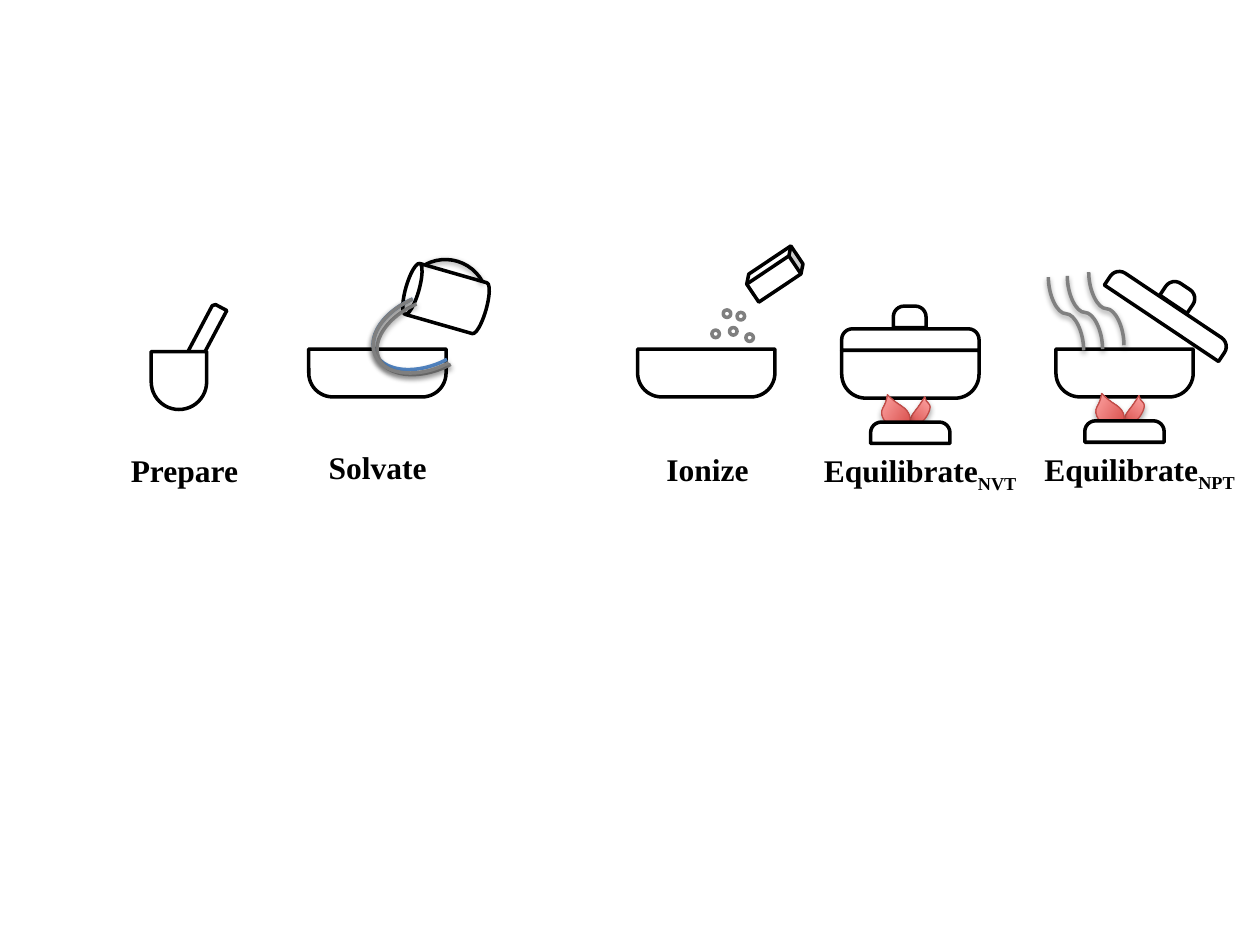
from dataclasses import dataclass, replace

from lxml.etree import SubElement
from pptx import Presentation
from pptx.dml.color import RGBColor
from pptx.enum.shapes import MSO_CONNECTOR, MSO_SHAPE as Preset
from pptx.enum.text import MSO_AUTO_SIZE
from pptx.oxml.ns import qn
from pptx.util import Inches, Pt

COLORS = {
    "black": "000000", "white": "FFFFFF", "water": "4F81BD", "salt": "7F7F7F",
    "steam": "808080", "flame_low": "D1403C", "flame_high": "FFA6A5",
    "flame_edge": "BF4C48",
}
FONT = "Times New Roman"


@dataclass(frozen=True)
class Shadow:
    """A downward shadow; opacity in percent, distance in points."""
    opacity: int
    distance: float
    blur: float = 3.15


@dataclass(frozen=True)
class Piece:
    """One preset shape; lengths in inches, rotation in degrees."""
    preset: Preset
    left: float
    top: float
    width: float
    height: float
    rotation: float = 0
    adjustments: tuple[float, ...] = ()
    fill: str | None = "white"
    line: str = "black"
    line_width: float = 2
    shadow: Shadow | None = None
    mirrored: bool = False


@dataclass(frozen=True)
class Steam:
    """A curved wisp that starts at the given point."""
    left: float
    top: float
    width: float = 0.28
    height: float = 0.58


@dataclass(frozen=True)
class Step:
    """One stage of the recipe: its drawing and its caption."""
    pieces: list[Piece | Steam]
    caption: str
    left: float
    top: float
    width: float
    subscript: str = ""


STROKE_SHADOW = Shadow(38, 1.57)
FLAME_SHADOW = Shadow(35, 1.81)


def rgb(name: str) -> RGBColor:
    """Look up a colour by name."""
    return RGBColor.from_string(COLORS[name])


def rounded(left: float, top: float, width: float, height: float, rotation: float = 0) -> Piece:
    """Describe a box with two fully rounded top corners."""
    return Piece(Preset.ROUND_2_SAME_RECTANGLE, left, top, width, height, rotation, (0.5, 0))


def bowl(left: float, top: float) -> Piece:
    """Describe a bowl, which is a rounded box turned upside down."""
    return rounded(left, top, 1.09, 0.38, 180)


def stream(left: float, top: float, width: float, height: float, line: str) -> Piece:
    """Describe one arc of pouring water, from 167.66 degrees to 0."""
    return Piece(Preset.ARC, left, top, width, height, 246.7, (167.66 * 0.6, 0), None, line,
                 shadow=STROKE_SHADOW)


def burner(left: float, top: float) -> list[Piece]:
    """Describe the flames and the plate below a bowl at this position."""
    flame = Piece(Preset.TEAR, left + 0.57, top + 0.4, 0.1, 0.23, 38.7, (1.2,), "flame",
                  "flame_edge", 0.75, FLAME_SHADOW, True)
    wide_flame = replace(flame, left=left + 0.34, width=0.18, height=0.24, rotation=301.4,
                         mirrored=False)
    return [flame, wide_flame, rounded(left + 0.23, top + 0.57, 0.63, 0.17)]


def set_shadow(shape, shadow: Shadow | None) -> None:
    """Replace the theme shadow with the given one, or with none."""
    properties = shape._element.spPr
    effects = properties.find(qn("a:effectLst"))
    if effects is None:
        effects = SubElement(properties, qn("a:effectLst"))
    if shadow:
        outer = SubElement(effects, qn("a:outerShdw"), blurRad=str(Pt(shadow.blur)),
                           dist=str(Pt(shadow.distance)), dir="5400000", rotWithShape="0")
        color = SubElement(outer, qn("a:srgbClr"), val=COLORS["black"])
        SubElement(color, qn("a:alpha"), val=str(shadow.opacity * 1000))


def set_line(shape, color: str, width: float) -> None:
    """Set the colour and the width of an outline."""
    shape.line.color.rgb = rgb(color)
    shape.line.width = Pt(width)


def draw_piece(shapes, piece: Piece) -> None:
    """Draw one preset shape."""
    shape = shapes.add_shape(piece.preset, Inches(piece.left), Inches(piece.top),
                             Inches(piece.width), Inches(piece.height))
    shape.rotation = piece.rotation
    for index, value in enumerate(piece.adjustments):
        shape.adjustments[index] = value
    if piece.mirrored:
        shape._element.spPr.xfrm.set("flipH", "1")
    if piece.fill is None:
        shape.fill.background()
    elif piece.fill == "flame":
        shape.fill.gradient()
        shape.fill.gradient_angle = 90
        for stop, name in zip(shape.fill.gradient_stops, ("flame_low", "flame_high")):
            stop.color.rgb = rgb(name)
    else:
        shape.fill.solid()
        shape.fill.fore_color.rgb = rgb(piece.fill)
    set_line(shape, piece.line, piece.line_width)
    shape.shadow.inherit = False
    set_shadow(shape, piece.shadow)


def draw_steam(shapes, steam: Steam) -> None:
    """Draw a wisp as a mirrored curved connector turned by 270 degrees."""
    middle_x = steam.left + steam.width / 2
    middle_y = steam.top + steam.height / 2
    half_length, half_rise = steam.height / 2, steam.width / 2
    connector = shapes.add_connector(
        MSO_CONNECTOR.CURVE,
        Inches(middle_x + half_length), Inches(middle_y - half_rise),
        Inches(middle_x - half_length), Inches(middle_y + half_rise))
    connector._element.spPr.xfrm.set("rot", str(270 * 60000))
    set_line(connector, "steam", 2)
    set_shadow(connector, STROKE_SHADOW)


def add_run(paragraph, text: str, *, size: float = 18, bold: bool = True,
            color: str = "black", baseline: int = 0) -> None:
    """Add formatted text; baseline is a shift in percent."""
    run = paragraph.add_run()
    run.text = text
    run.font.name, run.font.size, run.font.bold = FONT, Pt(size), bold
    run.font.color.rgb = rgb(color)
    if baseline:
        run._r.get_or_add_rPr().set("baseline", str(baseline * 1000))


def draw_step(slide, step: Step) -> None:
    """Draw one step as a group with its caption."""
    shapes = slide.shapes.add_group_shape().shapes
    for piece in step.pieces:
        (draw_steam if isinstance(piece, Steam) else draw_piece)(shapes, piece)
    box = shapes.add_textbox(Inches(step.left), Inches(step.top), Inches(step.width), Inches(0.4))
    box.text_frame.word_wrap = False
    box.text_frame.auto_size = MSO_AUTO_SIZE.SHAPE_TO_FIT_TEXT
    paragraph = box.text_frame.paragraphs[0]
    add_run(paragraph, step.caption)
    if step.subscript:
        add_run(paragraph, step.subscript, baseline=-25)


SALT_GRAINS = [(5.85, 2.48), (5.92, 2.65), (5.74, 2.46), (5.79, 2.6), (5.65, 2.62)]
STEPS = [
    Step([Piece(Preset.SNIP_ROUND_RECTANGLE, 1.16, 2.73, 0.8, 0.12, 297.9),
          rounded(1.2, 2.79, 0.44, 0.46, 180)], "Prepare", 0.94, 3.53, 1.06),
    Step([replace(bowl(2.45, 2.77), fill=None),
          Piece(Preset.CAN, 3.33, 2.04, 0.42, 0.66, 286, fill=None),
          Piece(Preset.ARC, 3.2, 2.06, 0.67, 0.67, 332, fill=None, shadow=STROKE_SHADOW),
          stream(3.11, 2.18, 0.55, 0.89, "water"),
          stream(3.14, 2.22, 0.55, 0.89, "salt"),
          stream(3.1, 2.19, 0.58, 0.9, "salt")], "Solvate", 2.51, 3.51, 0.99),
    Step([bowl(5.06, 2.77), Piece(Preset.CUBE, 5.92, 2.06, 0.46, 0.23, 326.2),
          *(Piece(Preset.OVAL, left, top, 0.06, 0.06, line="salt") for left, top in SALT_GRAINS)],
         "Ionize", 5.19, 3.52, 0.86),
    Step([bowl(6.68, 2.78), rounded(6.68, 2.61, 1.09, 0.17), rounded(7.09, 2.43, 0.26, 0.17),
          *burner(6.68, 2.78)], "Equilibrate", 6.44, 3.53, 1.79, "NVT"),
    Step([bowl(8.38, 2.77), rounded(8.72, 2.41, 1.09, 0.17, 33.8),
          rounded(9.23, 2.26, 0.26, 0.17, 33.8), *burner(8.38, 2.77),
          Steam(8.47, 2.19), Steam(8.64, 2.16), Steam(8.32, 2.2)],
         "Equilibrate", 8.19, 3.52, 1.77, "NPT"),
]

presentation = Presentation()
presentation.slide_width, presentation.slide_height = Inches(10), Inches(7.5)
recipe_slide = presentation.slides.add_slide(presentation.slide_layouts[6])
for recipe_step in STEPS:
    draw_step(recipe_slide, recipe_step)
presentation.save("out.pptx")
